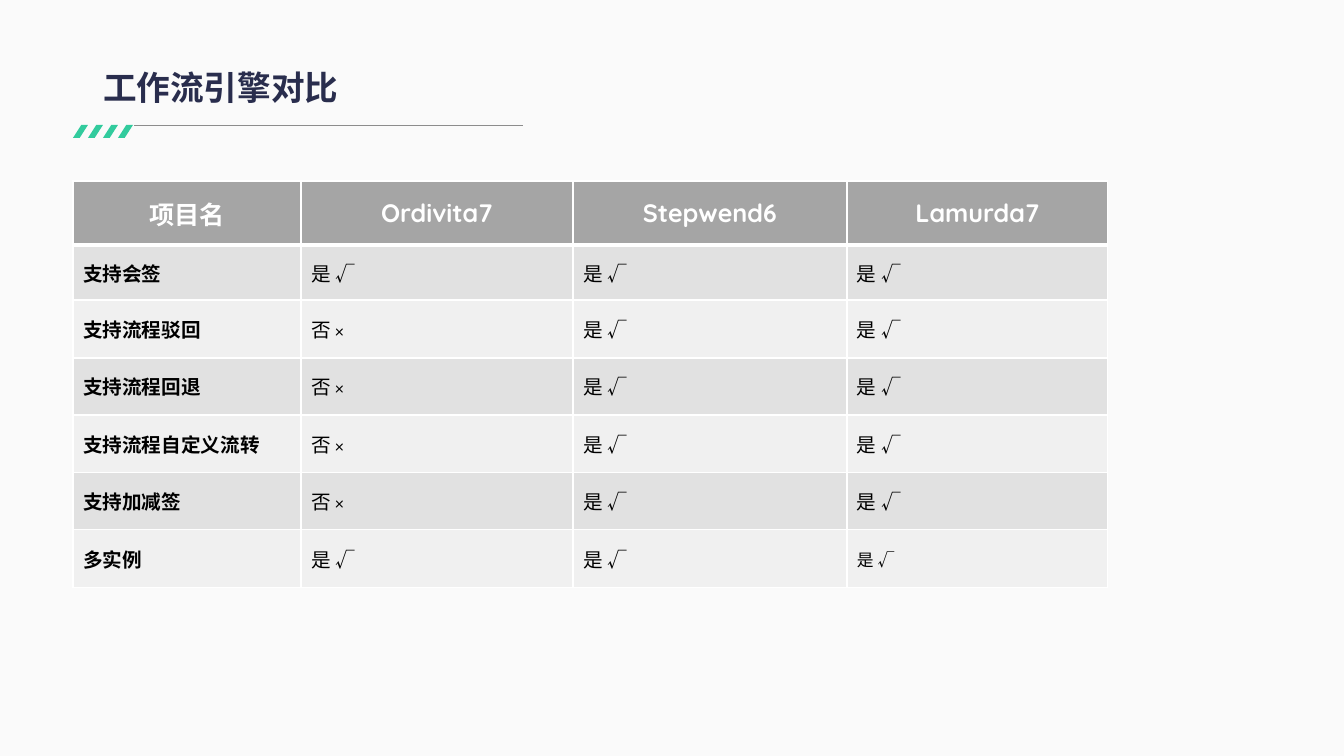
from lxml import etree
from pptx import Presentation
from pptx import util as u
from pptx.dml.color import RGBColor
from pptx.enum import shapes, text
from pptx.oxml.ns import qn

PX = 12192000 / 1344
COLORS = {
    "background": "FAFAFA", "title": "292D4D", "accent": "32CB9D", "rule": "8C8C8C",
    "header": "A5A5A5", "odd": "E1E1E1", "even": "F0F0F0", "white": "FFFFFF", "black": "000000",
}
CJK, LATIN = "Noto Sans CJK SC", "Quicksand"

YES, NO = "是 √", "否 ×"
HEADINGS = ["项目名", "Ordivita7", "Stepwend6", "Lamurda7"]
FEATURES = [
    ("支持会签", YES, YES, YES),
    ("支持流程驳回", NO, YES, YES),
    ("支持流程回退", NO, YES, YES),
    ("支持流程自定义流转", NO, YES, YES),
    ("支持加减签", NO, YES, YES),
    ("多实例", YES, YES, YES),
]
COLUMN_WIDTHS = [228, 272, 274, 261]
ROW_HEIGHTS = [64, 55, 58, 57, 58, 57, 58]


def px(length):
    return u.Emu(round(length * PX))


def color(name):
    return RGBColor.from_string(COLORS[name])


def paint(fill, name):
    fill.solid()
    fill.fore_color.rgb = color(name)


def write(frame, content, size, ink="black", bold=False, font=LATIN, align=text.PP_ALIGN.LEFT):
    paragraph = frame.paragraphs[0]
    paragraph.alignment = align
    run = paragraph.add_run()
    run.text = content
    run.font.size = u.Pt(size)
    run.font.bold = bold
    run.font.name = font
    run.font.color.rgb = color(ink)
    properties = run.font._element
    etree.SubElement(properties, qn("a:ea")).set("typeface", CJK)
    return paragraph


def add_borders(cell, bottom):
    """Draw white cell borders; only the bottom width, in points, varies."""
    properties = cell._tc.get_or_add_tcPr()
    for side, width in (("lnL", 1), ("lnR", 1), ("lnT", 1), ("lnB", bottom)):
        line = etree.SubElement(properties, qn(f"a:{side}"), w=str(u.Pt(width)))
        fill = etree.SubElement(line, qn("a:solidFill"))
        etree.SubElement(fill, qn("a:srgbClr"), val=COLORS["white"])


def add_title(slide, left, top, width, height):
    title = slide.shapes.title
    title.left, title.top, title.width, title.height = map(px, (left, top, width, height))
    frame = title.text_frame
    frame.word_wrap = True
    frame.auto_size = text.MSO_AUTO_SIZE.NONE
    frame.vertical_anchor = text.MSO_ANCHOR.BOTTOM
    paragraph = write(frame, "工作流引擎对比", 24, ink="title", bold=True, font=CJK)
    paragraph.line_spacing = 0.9


def add_underline(slide, left, top, width, height):
    """Place four slanted marks followed by a thin rule."""
    mark_width, mark_count = 15, 4
    for index in range(mark_count):
        mark = slide.shapes.add_shape(
            shapes.MSO_SHAPE.PARALLELOGRAM, px(left + index * mark_width), px(top),
            px(mark_width), px(height))
        mark.adjustments[0] = 0.64
        mark.shadow.inherit = False
        paint(mark.fill, "accent")
        mark.line.fill.background()
    rule = slide.shapes.add_connector(
        shapes.MSO_CONNECTOR.STRAIGHT, px(left + mark_count * mark_width + 1), px(top),
        px(left + width), px(top))
    rule.line.width = u.Pt(0.5)
    rule.line.color.rgb = color("rule")
    etree.SubElement(rule._element.spPr, qn("a:effectLst"))


def add_comparison(slide, left, top):
    rows = [HEADINGS, *FEATURES]
    table = slide.shapes.add_table(
        len(rows), len(HEADINGS), px(left), px(top),
        px(sum(COLUMN_WIDTHS)), px(sum(ROW_HEIGHTS))).table
    table.first_row = table.horz_banding = False
    for column, width in zip(table.columns, COLUMN_WIDTHS):
        column.width = px(width)
    for row, height in zip(table.rows, ROW_HEIGHTS):
        row.height = px(height)
    for row_index, row in enumerate(rows):
        for column_index, content in enumerate(row):
            cell = table.cell(row_index, column_index)
            cell.vertical_anchor = text.MSO_ANCHOR.MIDDLE
            is_header = row_index == 0
            add_borders(cell, bottom=3 if is_header else 1)
            if is_header:
                paint(cell.fill, "header")
                write(cell.text_frame, content, 18, ink="white", bold=True,
                      align=text.PP_ALIGN.CENTER)
            else:
                paint(cell.fill, "odd" if row_index % 2 else "even")
                is_last = (row_index, column_index) == (len(rows) - 1, len(row) - 1)
                write(cell.text_frame, content, 12 if is_last else 14, bold=column_index == 0)


def main():
    presentation = Presentation()
    presentation.slide_width, presentation.slide_height = px(1344), px(756)
    slide = presentation.slides.add_slide(presentation.slide_layouts[5])
    paint(slide.background.fill, "background")
    add_underline(slide, 73, 125, 450, 13)
    add_title(slide, 93, 43, 1159, 70)
    add_comparison(slide, 73, 181)
    presentation.save("out.pptx")


if __name__ == "__main__":
    main()
